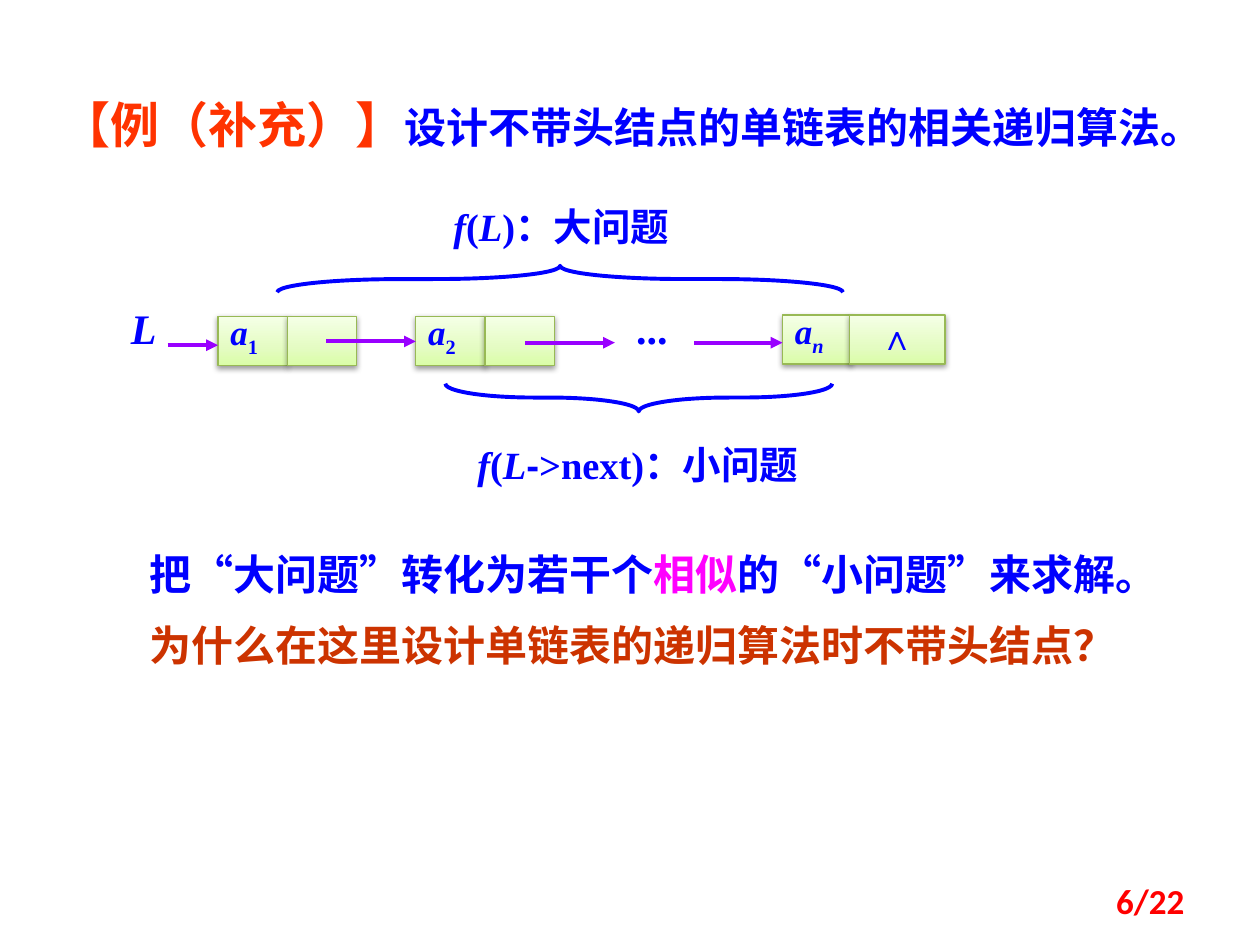
from copy import deepcopy

from lxml import etree
from pptx import Presentation
from pptx.dml.color import RGBColor
from pptx.enum.shapes import MSO_CONNECTOR as Connector, MSO_SHAPE as Shape
from pptx.enum.text import MSO_ANCHOR as Anchor, MSO_AUTO_SIZE as AutoSize, PP_ALIGN as Align
from pptx.oxml.ns import qn
from pptx.util import Inches, Pt

BLUE, PURPLE, GREEN = "0000FF", "9900FF", "98B955"
ITALIC = {"italic": True}


def color(hex_code):
    return RGBColor.from_string(hex_code)


def child(parent, tag, **attributes):
    return etree.SubElement(parent, qn(tag), attributes)


class ListSlide:
    """Style and drawing methods for the linked list slide."""

    cell_stops = [(0, "DAFDA7"), (0.35, "E4FCC2"), (1, "F5FFE7")]
    latin, east_asian = "Times New Roman", "Noto Sans CJK SC"

    def __init__(self, slide):
        self.slide = slide
        self.shapes = slide.shapes

    def add_runs(self, paragraph, runs, size, **base):
        """Each run is (text, format); format may hold color and subscript."""
        for text, changes in runs:
            values = {"name": self.latin, "size": Pt(size), "bold": True,
                      "italic": False, "color": BLUE, **base, **changes}
            subscript = values.pop("subscript", False)
            run = paragraph.add_run()
            run.text = text
            run.font.color.rgb = color(values.pop("color"))
            for key, value in values.items():
                setattr(run.font, key, value)
            properties = run.font._element
            child(properties, "a:ea", typeface=self.east_asian)
            if subscript:
                properties.set("baseline", "-25000")

    def text(self, box, paragraphs, size, **base):
        frame = self.shapes.add_textbox(*map(Inches, box)).text_frame
        frame.word_wrap = True
        frame.auto_size = AutoSize.SHAPE_TO_FIT_TEXT
        for index, runs in enumerate(paragraphs):
            paragraph = frame.add_paragraph() if index else frame.paragraphs[0]
            before = child(paragraph._p.get_or_add_pPr(), "a:spcBef")
            child(before, "a:spcPct", val="50000")
            self.add_runs(paragraph, runs, size, **base)
        return frame

    def cell(self, left, top, width, runs=(), align=Align.LEFT):
        cell = self.shapes.add_shape(
            Shape.RECTANGLE, *map(Inches, (left, top, width, 0.39)))
        cell.line.color.rgb = color(GREEN)
        cell.line.width = Pt(0.75)
        # Three-stop gradient, darkest at the bottom
        cell.fill.gradient()
        cell.fill.gradient_angle = 90
        stop_list = cell._element.spPr.find(".//" + qn("a:gsLst"))
        stop_list.append(deepcopy(stop_list[0]))
        for stop, (position, shade) in zip(cell.fill.gradient_stops, self.cell_stops):
            stop.position = position
            stop.color.rgb = color(shade)
        # Soft shadow below
        effects = child(cell._element.spPr, "a:effectLst")
        shadow = child(effects, "a:outerShdw", blurRad="40000", dist="20000",
                       dir="5400000", rotWithShape="0")
        child(child(shadow, "a:srgbClr", val="000000"), "a:alpha", val="38000")
        # Label
        frame = cell.text_frame
        frame.word_wrap = False
        frame.vertical_anchor = Anchor.MIDDLE
        paragraph = frame.paragraphs[0]
        paragraph.alignment = align
        paragraph.line_spacing = Pt(20)
        self.add_runs(paragraph, runs, 20)

    def arrow(self, start, end, y):
        arrow = self.shapes.add_connector(
            Connector.STRAIGHT, *map(Inches, (start, y, end, y)))
        arrow.line.color.rgb = color(PURPLE)
        arrow.line.width = Pt(2.25)
        child(arrow.line._get_or_add_ln(), "a:tailEnd", type="triangle")
        child(arrow._element.spPr, "a:effectLst")

    def brace(self, box, rotation, curve):
        brace = self.shapes.add_shape(Shape.LEFT_BRACE, *map(Inches, box))
        brace.rotation = rotation
        brace.adjustments[0] = curve
        brace.fill.background()
        brace.line.color.rgb = color(BLUE)
        brace.line.width = Pt(2.25)
        brace.shadow.inherit = False


def main():
    deck = Presentation()
    deck.slide_width, deck.slide_height = Inches(10), Inches(7.5)
    page = ListSlide(deck.slides.add_slide(deck.slide_layouts[6]))

    # Title
    page.text((0.39, 0.7, 9.14, 0.57), [[
        ("【例（补充）】", {"size": Pt(28), "color": "FF3300"}),
        ("设计不带头结点的单链表的相关递归算法。", {"name": page.east_asian}),
    ]], 24)

    # List nodes: a value cell and a link cell each
    node_width = 0.55
    for left, top, index, index_format in (
            (1.73, 2.51, "1", {}), (3.3, 2.51, "2", {}), (6.21, 2.5, "n", ITALIC)):
        page.cell(left, top, node_width,
                  [("a", ITALIC), (index, {"subscript": True, **index_format})])
        if index != "n":
            page.cell(left + node_width, top, node_width)
    page.cell(6.74, 2.5, 0.76, [("∧", {})], Align.CENTER)

    # Links, head pointer and ellipsis
    for start, end, y in ((1.33, 1.73, 2.74), (2.59, 3.3, 2.71),
                          (4.17, 4.88, 2.72), (5.51, 6.21, 2.72)):
        page.arrow(start, end, y)
    page.text((0.94, 2.35, 0.55, 0.5), [[("L", ITALIC)]], 24)
    page.text((4.95, 2.35, 0.79, 0.5), [[("...", {})]], 24)

    # Big problem above, small problem below
    call = [("f", ITALIC), ("(", {}), ("L", ITALIC)]
    page.brace((4.34, -0.03, 0.21, 4.49), 90, 4.68)
    page.text((3.5, 1.56, 2.28, 0.47), [call + [(")：大问题", {})]], 22)
    page.brace((4.96, 1.62, 0.22, 3.07), 270, 3.2)
    page.text((3.69, 3.45, 3.07, 0.47),
              [call + [("-", {"name": "Arial"}), (">next)：小问题", {})]], 22)

    # Conclusion and question
    page.text((1.09, 4.3, 8.2, 1.11), [
        [("把“大问题”转化为若干个", {}), ("相似", {"color": "FF00FF"}),
         ("的“小问题”来求解。", {})],
        [("为什么在这里设计单链表的递归算法时不带头结点？", {"color": "CC3300"})],
    ], 24)

    # Page number
    number = page.text((7.17, 6.95, 2.33, 0.4), [[("6/22", {})]], 20,
                       name="Calibri", color="FF0000")
    number.vertical_anchor = Anchor.MIDDLE
    number.paragraphs[0].alignment = Align.RIGHT

    deck.save("out.pptx")


if __name__ == "__main__":
    main()
